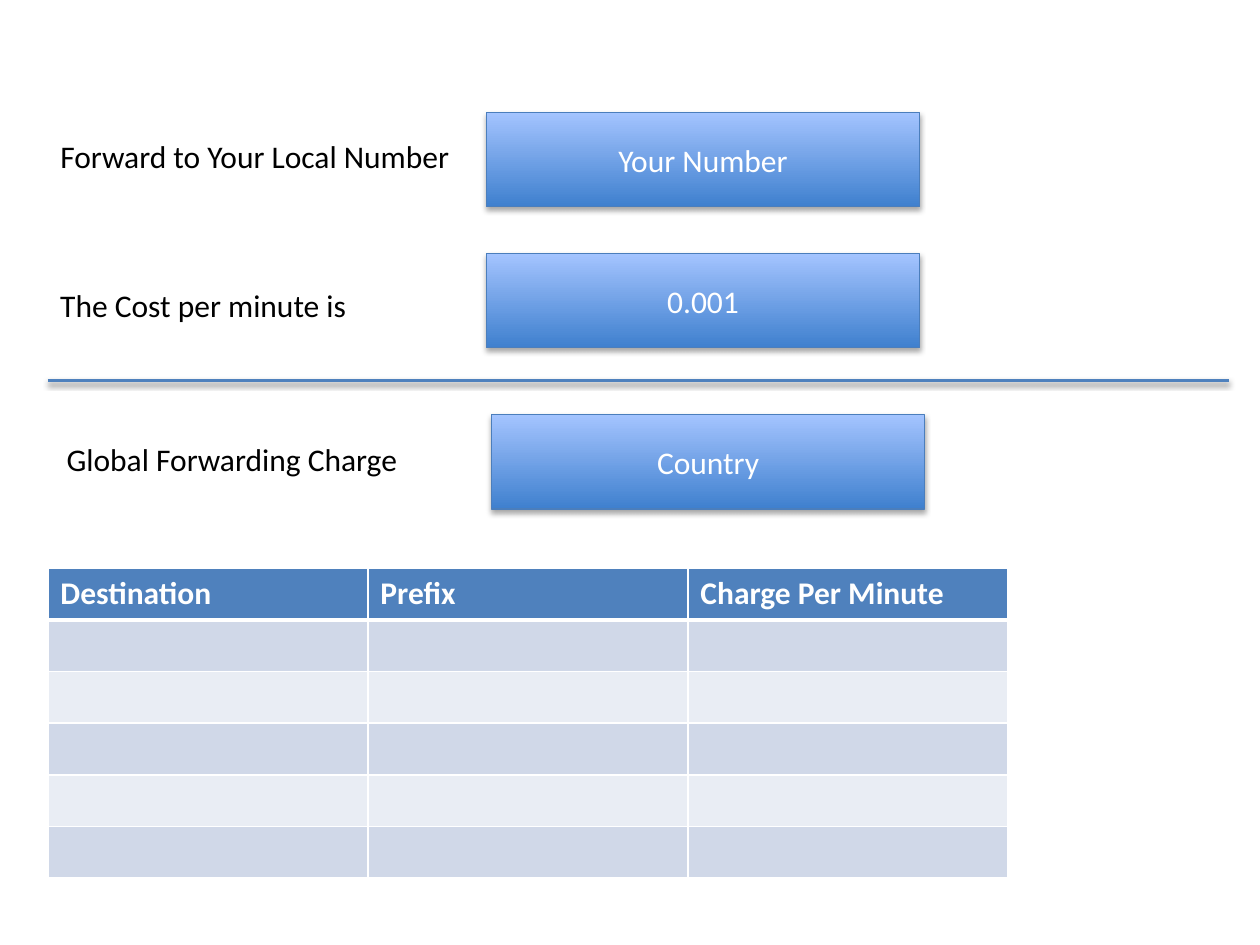
import dataclasses
import typing

import lxml.etree
import pptx
import pptx.dml.color
import pptx.enum.shapes
import pptx.enum.text
import pptx.oxml
import pptx.oxml.ns
import pptx.util

Inches = pptx.util.Inches
Pt = pptx.util.Pt


@dataclasses.dataclass(frozen=True)
class Theme:
    font: str = "Calibri"
    size: int = 18
    ink: str = "000000"
    light: str = "FFFFFF"
    accent: str = "4F81BD"
    outline: str = "4B7EBC"
    gradient: tuple[str, str] = ("3F80CE", "A4C4FF")
    bands: tuple[str, str] = ("D0D8E8", "E9EDF4")


@dataclasses.dataclass(frozen=True)
class Field:
    label: str
    label_left: float
    label_top: float
    label_width: float
    value: str
    box_left: float
    box_top: float


THEME = Theme()
BOX_WIDTH, BOX_HEIGHT = 3.44, 0.75
LABEL_HEIGHT = 0.4
COLUMN_WIDTH, ROW_HEIGHT, BODY_ROWS = 2.54, 0.41, 5
FIELDS = (
    Field("Forward to Your Local Number", 0.38, 1.04, 3.35, "Your Number", 3.86, 0.89),
    Field("The Cost per minute is ", 0.38, 2.22, 2.5, "0.001", 3.86, 2.01),
    Field("Global Forwarding Charge", 0.43, 3.44, 2.87, "Country", 3.9, 3.29),
)
HEADINGS = ("Destination", "Prefix", "Charge Per Minute")


def rgb(value: str) -> pptx.dml.color.RGBColor:
    return pptx.dml.color.RGBColor.from_string(value)


def write(frame: typing.Any, text: str, color: str, bold: bool = False) -> None:
    span = frame.paragraphs[0].add_run()
    span.text = text
    formats = {"name": THEME.font, "size": Pt(THEME.size), "bold": bold}
    for name, value in formats.items():
        setattr(span.font, name, value)
    span.font.color.rgb = rgb(color)


def add_shadow(item: typing.Any, opacity: int, distance: float) -> None:
    item._element.spPr.append(pptx.oxml.parse_xml(
        f'<a:effectLst {pptx.oxml.ns.nsdecls("a")}>'
        f'<a:outerShdw blurRad="{Pt(3.1)}" dist="{Pt(distance)}" dir="5400000" rotWithShape="0">'
        f'<a:srgbClr val="{THEME.ink}"><a:alpha val="{opacity * 1000}"/></a:srgbClr>'
        '</a:outerShdw></a:effectLst>'
    ))


def add_label(page: typing.Any, field: Field) -> None:
    box = page.shapes.add_textbox(
        Inches(field.label_left), Inches(field.label_top),
        Inches(field.label_width), Inches(LABEL_HEIGHT),
    )
    box.text_frame.word_wrap = False
    box.text_frame.auto_size = pptx.enum.text.MSO_AUTO_SIZE.SHAPE_TO_FIT_TEXT
    write(box.text_frame, field.label, THEME.ink)


def add_value(page: typing.Any, field: Field) -> None:
    box = page.shapes.add_shape(
        pptx.enum.shapes.MSO_SHAPE.RECTANGLE,
        Inches(field.box_left), Inches(field.box_top),
        Inches(BOX_WIDTH), Inches(BOX_HEIGHT),
    )
    box.fill.gradient()
    box.fill.gradient_angle = 90
    for stop, color, position in zip(box.fill.gradient_stops, THEME.gradient, (0, 1)):
        stop.color.rgb = rgb(color)
        stop.position = position
    box.line.color.rgb = rgb(THEME.outline)
    box.line.width = Pt(0.75)
    add_shadow(box, 35, 1.8)
    box.text_frame.vertical_anchor = pptx.enum.text.MSO_ANCHOR.MIDDLE
    box.text_frame.paragraphs[0].alignment = pptx.enum.text.PP_ALIGN.CENTER
    write(box.text_frame, field.value, THEME.light)


def add_divider(page: typing.Any) -> None:
    line = page.shapes.add_connector(
        pptx.enum.shapes.MSO_CONNECTOR.STRAIGHT,
        Inches(0.38), Inches(3.02), Inches(9.75), Inches(3.02),
    )
    line.line.color.rgb = rgb(THEME.accent)
    line.line.width = Pt(2)
    add_shadow(line, 38, 1.6)


def style_cell(cell: typing.Any, color: str, widths: dict[str, int]) -> None:
    properties = cell._tc.get_or_add_tcPr()
    for side, width in widths.items():
        border = lxml.etree.SubElement(
            properties, pptx.oxml.ns.qn(f"a:{side}"), w=str(Pt(width)))
        fill = lxml.etree.SubElement(border, pptx.oxml.ns.qn("a:solidFill"))
        lxml.etree.SubElement(fill, pptx.oxml.ns.qn("a:srgbClr"), val=THEME.light)
    cell.fill.solid()
    cell.fill.fore_color.rgb = rgb(color)


def add_charges(page: typing.Any) -> None:
    row_count = BODY_ROWS + 1
    table = page.shapes.add_table(
        row_count, len(HEADINGS), Inches(0.38), Inches(4.51),
        Inches(COLUMN_WIDTH * len(HEADINGS)), Inches(ROW_HEIGHT * row_count),
    ).table
    for column in table.columns:
        column.width = Inches(COLUMN_WIDTH)
    for index, row in enumerate(table.rows):
        row.height = Inches(ROW_HEIGHT)
        color = THEME.bands[(index - 1) % 2] if index else THEME.accent
        widths = {"lnL": 1, "lnR": 1, "lnT": 3 if index == 1 else 1,
                  "lnB": 1 if index else 3}
        for cell in row.cells:
            style_cell(cell, color, widths)
    for cell, heading in zip(table.rows[0].cells, HEADINGS):
        write(cell.text_frame, heading, THEME.light, bold=True)


deck = pptx.Presentation()
deck.slide_width, deck.slide_height = Inches(10), Inches(7.5)
page = deck.slides.add_slide(deck.slide_layouts[6])
for field in FIELDS:
    add_label(page, field)
    add_value(page, field)
add_divider(page)
add_charges(page)
deck.save("out.pptx")
